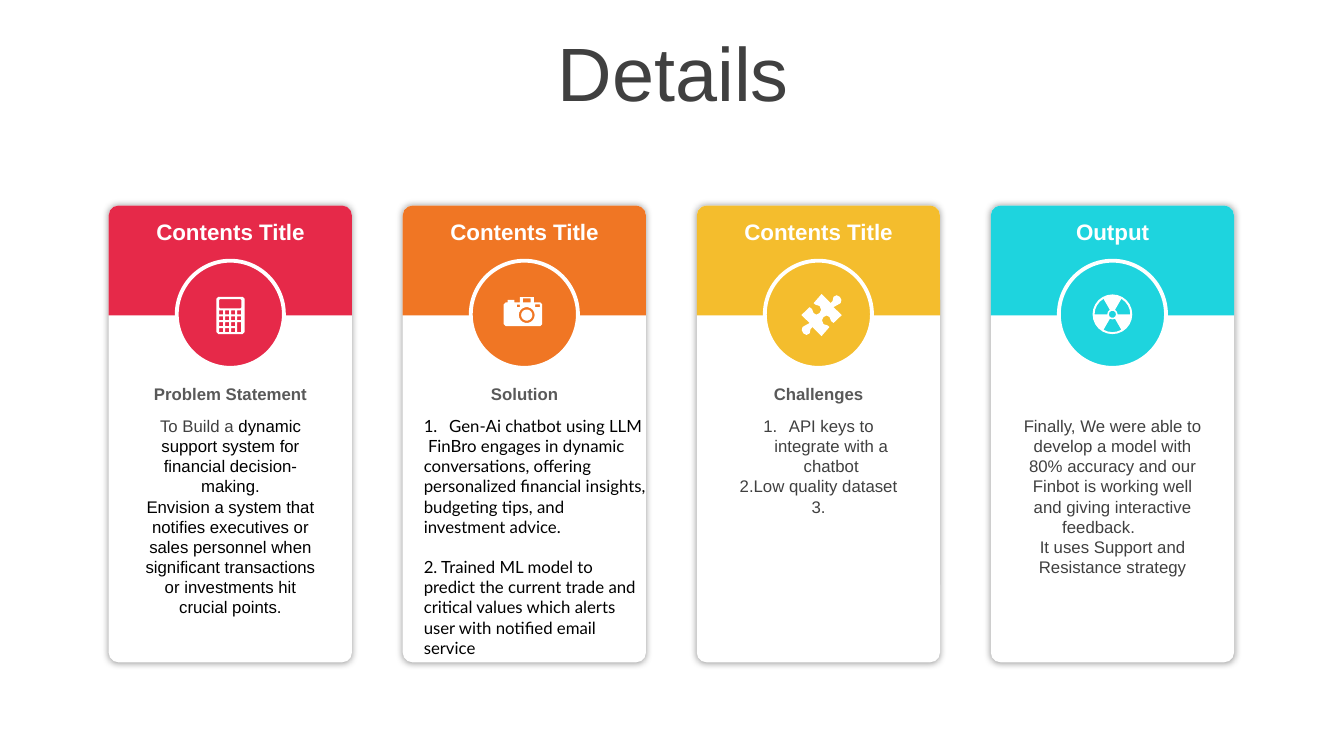
from math import cos, radians, sin

from lxml.etree import SubElement
from pptx import Presentation
from pptx.dml.color import RGBColor
from pptx.enum.shapes import MSO_SHAPE
from pptx.enum.text import MSO_ANCHOR, MSO_AUTO_SIZE, PP_ALIGN
from pptx.oxml import parse_xml
from pptx.oxml.ns import nsdecls, qn
from pptx.util import Cm, Pt

WHITE = RGBColor(0xFF, 0xFF, 0xFF)
BLACK = RGBColor(0x00, 0x00, 0x00)
DARK = RGBColor(0x40, 0x40, 0x40)
GREY = RGBColor(0x59, 0x59, 0x59)
RED = RGBColor(0xE6, 0x29, 0x49)
ORANGE = RGBColor(0xF0, 0x76, 0x24)
YELLOW = RGBColor(0xF4, 0xBD, 0x2D)
CYAN = RGBColor(0x1E, 0xD4, 0xDE)

CARD_LEFT, CARD_TOP, CARD_W, CARD_H, PITCH = 2.74, 5.18, 6.13, 11.51, 7.41
HEAD_H, CIRCLE_D, CENTRE_Y = 2.77, 2.7, 7.92
SHADOW = (
    f'<a:effectLst {nsdecls("a")}><a:outerShdw blurRad="63500" algn="ctr" rotWithShape="0">'
    '<a:srgbClr val="000000"><a:alpha val="40000"/></a:srgbClr></a:outerShdw></a:effectLst>'
)


def arc(x, y, radius, start, end, steps):
    angles = [radians(start + (end - start) * k / steps) for k in range(steps + 1)]
    return [(x + radius * cos(a), y + radius * sin(a)) for a in angles]


def box(x, y, w, h, cut=0):
    right, bottom = x + w, y + h
    if not cut:
        return [(x, y), (right, y), (right, bottom), (x, bottom)]
    return [(x + cut, y), (right - cut, y), (right, y + cut), (right, bottom - cut),
            (right - cut, bottom), (x + cut, bottom), (x, bottom - cut), (x, y + cut)]


calculator = [box(-0.35, -0.44, 0.71, 0.94, 0.05), box(-0.28, -0.38, 0.56, 0.23, 0.02)]
for col in range(4):
    for row in range(4 if col < 3 else 3):
        tall = col == 3 and row == 2
        calculator.append(
            box(-0.28 + 0.15 * col, -0.1 + 0.15 * row, 0.1, 0.25 if tall else 0.1))

camera = [
    [(0.4, -0.3), (0.45, -0.25), (0.45, 0.25), (0.4, 0.3), (-0.47, 0.3),
     (-0.52, 0.25), (-0.52, -0.25), (-0.47, -0.3), (-0.42, -0.3), (-0.42, -0.36),
     (-0.25, -0.36), (-0.25, -0.3), (-0.11, -0.3), (-0.11, -0.43), (0.24, -0.43),
     (0.24, -0.3)],
    arc(0.06, 0.02, 0.2, 0, 360, 18),
    arc(0.06, 0.02, 0.14, 0, 360, 18),
    box(0.27, -0.25, 0.12, 0.07),
    box(-0.19, -0.24, 0.08, 0.06),
    box(-0.04, -0.4, 0.2, 0.1),
]

half = [(0.3, -0.46), (0.38, -0.5), (0.46, -0.46), (0.5, -0.38), (0.48, -0.3),
        (0.41, -0.26), (0.3, -0.2), (0.51, 0), (0.3, 0.2), (0.24, 0.15),
        (0.2, 0.05), (0.13, 0.01), (0.05, 0.05), (0.01, 0.13), (0.05, 0.23),
        (0.15, 0.26), (0.2, 0.3), (0, 0.53), (-0.23, 0.3), (-0.28, 0.36)]
puzzle = [[(x + 0.08, y + 0.02) for x, y in half + [(-x, -y) for x, y in half]]]

radiation = [arc(0, 0, 0.5, 0, 360, 24), arc(0, 0, 0.09, 0, 360, 10)]
for start in (60, 180, 300):
    radiation.append(
        arc(0, 0, 0.45, start, start + 60, 4) + arc(0, 0, 0.13, start + 60, start, 2))

cards = [
    (RED, "Contents Title", "Problem Statement", calculator, [
        [("To Build a ", DARK),
         ("dynamic support system for financial decision-making.", BLACK)],
        [("Envision a system that notifies executives or sales personnel when "
          "significant transactions or investments hit crucial points.", BLACK)]]),
    (ORANGE, "Contents Title", "Solution", camera, [
        [("Gen-Ai chatbot using LLM", BLACK)],
        [(" FinBro engages in dynamic conversations, offering personalized financial "
          "insights, budgeting tips, and investment advice.", BLACK)],
        [("2. Trained ML model to predict the current trade and critical values which "
          "alerts user with notified email service", BLACK)]]),
    (YELLOW, "Contents Title", "Challenges", puzzle, [
        [("API keys to integrate with a chatbot", DARK)],
        [("2.Low quality dataset", DARK)],
        [("3.", DARK)]]),
    (CYAN, "Output", None, radiation, [
        [("Finally, We were able to develop a model with 80% accuracy and our Finbot "
          "is working well and giving interactive feedback. \t", DARK)],
        [("It uses Support and Resistance strategy", DARK)]]),
]

prs = Presentation()
prs.slide_width, prs.slide_height = Cm(33.87), Cm(19.05)
s = prs.slides.add_slide(prs.slide_layouts[5])

title = s.shapes.title
title.left, title.top, title.width, title.height = Cm(0.89), Cm(0.94), Cm(32.16), Cm(2.01)
tf = title.text_frame
tf.text = "Details"
tf.vertical_anchor = MSO_ANCHOR.MIDDLE
p = tf.paragraphs[0]
p.alignment, p.line_spacing = PP_ALIGN.CENTER, 0.9
p.font.size, p.font.name, p.font.color.rgb = Pt(54), "Arial", DARK

for i, (color, heading, subtitle, icon, body) in enumerate(cards):
    left = CARD_LEFT + PITCH * i
    centre = left + CARD_W / 2
    solution = subtitle == "Solution"

    card = s.shapes.add_shape(
        MSO_SHAPE.ROUNDED_RECTANGLE, Cm(left), Cm(CARD_TOP), Cm(CARD_W), Cm(CARD_H))
    card.adjustments[0] = 0.04
    head = s.shapes.add_shape(
        MSO_SHAPE.ROUND_2_SAME_RECTANGLE, Cm(left), Cm(CARD_TOP), Cm(CARD_W), Cm(HEAD_H))
    head.adjustments[0] = 0.09
    circle = s.shapes.add_shape(
        MSO_SHAPE.OVAL, Cm(centre - CIRCLE_D / 2), Cm(CENTRE_Y - CIRCLE_D / 2),
        Cm(CIRCLE_D), Cm(CIRCLE_D))

    fb = None
    for contour in icon:
        points = [(round(x * 1000), round(y * 1000)) for x, y in contour]
        if fb is None:
            fb = s.shapes.build_freeform(*points[0], scale=Cm(1) / 1000)
        else:
            fb.move_to(*points[0])
        fb.add_line_segments(points[1:], close=True)
    symbol = fb.convert_to_shape(Cm(centre), Cm(CENTRE_Y))

    for shape, fill in ((card, WHITE), (head, color), (circle, color), (symbol, WHITE)):
        shape.fill.solid()
        shape.fill.fore_color.rgb = fill
        shape.line.fill.background()
        shape.shadow.inherit = False
    circle.line.color.rgb, circle.line.width = WHITE, Pt(2.75)
    sp_pr = card._element.spPr
    sp_pr.replace(sp_pr.find(qn("a:effectLst")), parse_xml(SHADOW))

    labels = [(heading, 5.38, 0.94, 16, WHITE)]
    if subtitle:
        labels.append((subtitle, 9.55, 0.76, 12, GREY))
    for text, top, height, size, font_color in labels:
        tb = s.shapes.add_textbox(Cm(left + 0.57), Cm(top), Cm(5), Cm(height))
        tf = tb.text_frame
        tf.word_wrap, tf.auto_size = True, MSO_AUTO_SIZE.SHAPE_TO_FIT_TEXT
        tf.margin_left = tf.margin_right = Cm(0.3)
        p = tf.paragraphs[0]
        p.text, p.alignment = text, PP_ALIGN.CENTER
        p.font.size, p.font.name, p.font.bold = Pt(size), "Arial", True
        p.font.color.rgb = font_color

    tb = s.shapes.add_textbox(
        Cm(left + (0.28 if solution else 0.57)), Cm(10.35),
        Cm(CARD_W if solution else 5), Cm(5.38))
    tf = tb.text_frame
    tf.word_wrap, tf.auto_size = True, MSO_AUTO_SIZE.SHAPE_TO_FIT_TEXT
    for n, runs in enumerate(body):
        p = tf.add_paragraph() if n else tf.paragraphs[0]
        p.alignment = PP_ALIGN.LEFT if solution else PP_ALIGN.CENTER
        p.font.size, p.font.name = Pt(12), "Lato" if solution else "Arial"
        for text, font_color in runs:
            r = p.add_run()
            r.text, r.font.color.rgb = text, font_color
        if n == 0 and subtitle in ("Solution", "Challenges"):
            p_pr = p._p.get_or_add_pPr()
            p_pr.set("marL", str(Cm(0.64)))
            p_pr.set("indent", str(-Cm(0.64)))
            number = SubElement(p_pr, qn("a:buAutoNum"), type="arabicPeriod")
            p_pr.find(qn("a:defRPr")).addprevious(number)
    if solution:
        p.space_before = Pt(14.4)

prs.save("out.pptx")
